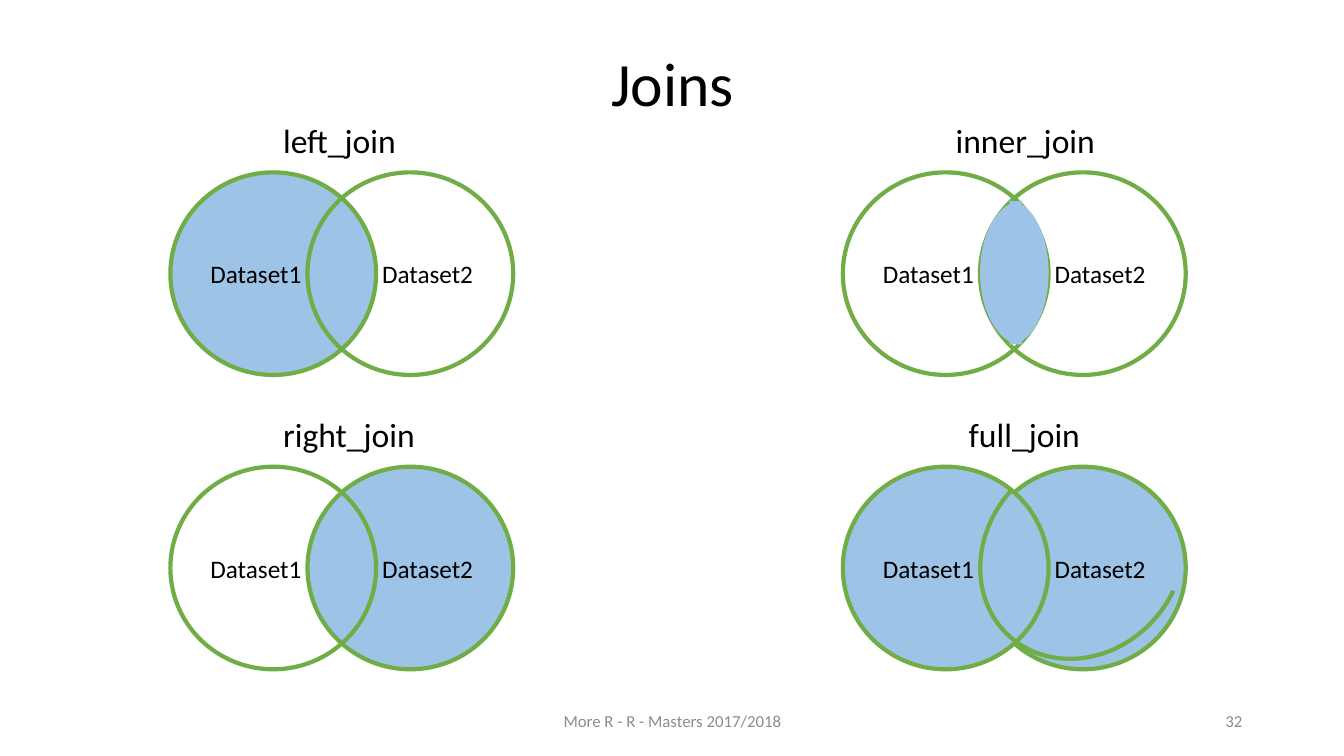
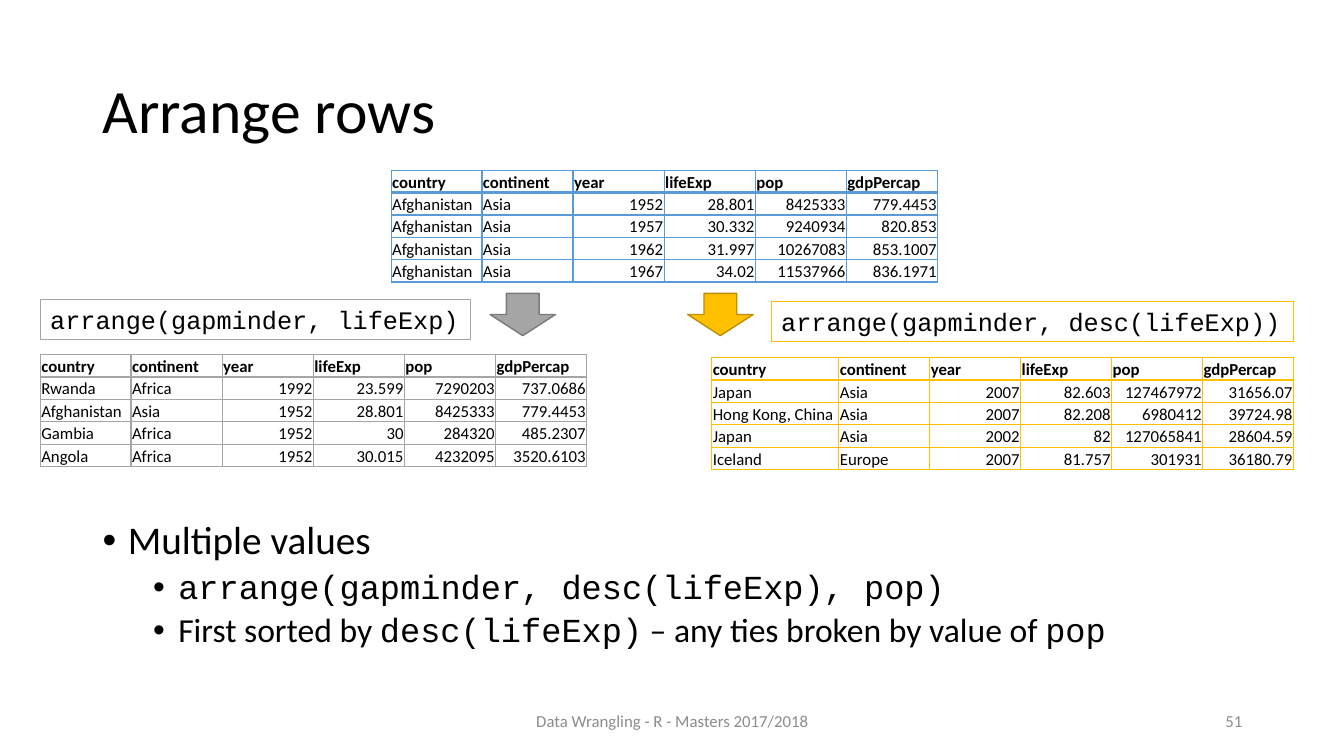
from lxml.etree import SubElement
from pptx import Presentation
from pptx.dml.color import RGBColor
from pptx.enum.shapes import MSO_SHAPE
from pptx.enum.text import MSO_ANCHOR, PP_ALIGN
from pptx.oxml.ns import qn
from pptx.util import Emu, Pt

PX = 9144  # 100 px to the inch
HUES = {
    "ink": "000000", "white": "FFFFFF", "foot": "8C8C8C",
    "sky": "9DC3E6", "green": "70AD47", "blue": "5B9BD5",
    "grey": "A5A5A5", "slate": "7A7A7A", "gold": "FFC000", "bronze": "BD8E00",
}
SANS, MONO = "Calibri", "Courier New"
LEFT, MID, RIGHT = PP_ALIGN.LEFT, PP_ALIGN.CENTER, PP_ALIGN.RIGHT


def draw(slide, kind, box, fill=None, line=None, width=1):
    """Add a preset shape, or a text box when kind is None."""
    place = [Emu(v * PX) for v in box]
    if kind is None:
        return slide.shapes.add_textbox(*place)
    shape = slide.shapes.add_shape(kind, *place)
    shape.shadow.inherit = False
    if fill:
        shape.fill.solid()
        shape.fill.fore_color.rgb = RGBColor.from_string(HUES[fill])
    else:
        shape.fill.background()
    if line:
        shape.line.color.rgb = RGBColor.from_string(HUES[line])
        shape.line.width = Pt(width)
    else:
        shape.line.fill.background()
    return shape


def write(frame, words, size, align=LEFT, anchor=MSO_ANCHOR.TOP,
          font=SANS, hue="ink", bold=False, wrap=True):
    """Set one line of text and format it."""
    frame.text = words
    frame.word_wrap = wrap
    frame.vertical_anchor = anchor
    para = frame.paragraphs[0]
    para.alignment = align
    for run in para.runs:
        run.font.name, run.font.size, run.font.bold = font, Pt(size), bold
        run.font.color.rgb = RGBColor.from_string(HUES[hue])
    return para


deck = Presentation()
deck.slide_width, deck.slide_height = Emu(1333 * PX), Emu(750 * PX)

# Titles and footers of both slides
pages = []
for title, top, align, foot, number in [
    ("Joins", 13, MID, "More R - R - Masters 2017/2018", "32"),
    ("Arrange rows", 40, LEFT, "Data Wrangling - R - Masters 2017/2018", "51"),
]:
    page = deck.slides.add_slide(deck.slide_layouts[6])
    pages.append(page)
    head = draw(page, None, (92, top, 1150, 145)).text_frame
    write(head, title, 44, align, MSO_ANCHOR.MIDDLE).line_spacing = 0.9
    for words, left, wide, side in [(foot, 442, 450, MID), (number, 942, 300, RIGHT)]:
        frame = draw(page, None, (left, 695, wide, 40)).text_frame
        write(frame, words, 12, side, MSO_ANCHOR.MIDDLE, hue="foot")
joins, rows = pages

# Venn diagrams: sets are listed from back to front
GAP = 136
for name, left, top, label, sets in [
    ("left_join", 169, 171, 271, [(1, "sky"), (2, None)]),
    ("right_join", 169, 463, 271, [(2, "sky"), (1, None)]),
    ("full_join", 836, 463, 951, [(2, "sky"), (1, "sky")]),
    ("inner_join", 836, 171, 938, [(1, "white"), (2, None)]),
]:
    for part, fill in sets:
        box = (left + GAP * (part - 1), top, 204, 201)
        ring = draw(joins, MSO_SHAPE.OVAL, box, fill, "green", 3)
        write(ring.text_frame, f"Dataset{part}", 18,
              LEFT if part == 1 else RIGHT, MSO_ANCHOR.MIDDLE)
    write(draw(joins, None, (label, top - 57, 203, 50)).text_frame, name, 24)

# Edge of the right set over the left one in full_join
arc = draw(joins, MSO_SHAPE.ARC, (978, 443, 191, 216), None, "green", 3)
arc.adjustments[0], arc.adjustments[1] = 95.52, 0
arc.rotation = 221.9

# Overlap of inner_join, from two facing moons
for left, wide, turn in [(972, 42, 0), (1001, 39, 180)]:
    moon = draw(joins, MSO_SHAPE.MOON, (left, 199, wide, 143), "sky")
    moon.adjustments[0] = 0.875
    moon.rotation = turn

# Bullets: level, size, space before, runs
body = draw(rows, None, (92, 512, 1150, 180)).text_frame
body.word_wrap = True
for i, (level, size, space, parts) in enumerate([
    (0, 28, 10, [("Multiple values", SANS)]),
    (1, 24, 5, [("arrange(gapminder, desc(lifeExp), pop)", MONO)]),
    (1, 24, 5, [("First sorted by ", SANS), ("desc(lifeExp)", MONO),
                (" – any ties broken by value of ", SANS), ("pop", MONO)]),
]):
    para = body.add_paragraph() if i else body.paragraphs[0]
    para.level, para.line_spacing, para.space_before = level, 0.9, Pt(space)
    props = para._p.get_or_add_pPr()
    props.set("marL", str((25 + 50 * level) * PX))
    props.set("indent", str(-25 * PX))
    SubElement(props, qn("a:buFont"), typeface="Arial")
    SubElement(props, qn("a:buChar"), char="•")
    for words, font in parts:
        run = para.add_run()
        run.text = words
        run.font.name, run.font.size = font, Pt(size)
        run.font.color.rgb = RGBColor.from_string(HUES["ink"])

# Arrows and the calls beside them
for left, fill, line in [(486, "grey", "slate"), (682, "gold", "bronze")]:
    draw(rows, MSO_SHAPE.DOWN_ARROW, (left, 291, 65, 42), fill, line)
for box, line, words in [
    ((40, 297, 427, 40), "grey", "arrange(gapminder, lifeExp)"),
    ((765, 299, 518, 40), "gold", "arrange(gapminder, desc(lifeExp))"),
]:
    call = draw(rows, MSO_SHAPE.RECTANGLE, box, "white", line)
    write(call.text_frame, words, 18, font=MONO, wrap=False)

# Tables: place, width of first column, hue, records
FIELDS = ("country", "continent", "year", "lifeExp", "pop", "gdpPercap")
for box, first, hue, data in [
    ((388, 169, 542, 111), 90, "blue", [
        ("Afghanistan", "Asia", "1952", "28.801", "8425333", "779.4453"),
        ("Afghanistan", "Asia", "1957", "30.332", "9240934", "820.853"),
        ("Afghanistan", "Asia", "1962", "31.997", "10267083", "853.1007"),
        ("Afghanistan", "Asia", "1967", "34.02", "11537966", "836.1971"),
    ]),
    ((40, 352, 542, 111), 90, "grey", [
        ("Rwanda", "Africa", "1992", "23.599", "7290203", "737.0686"),
        ("Afghanistan", "Asia", "1952", "28.801", "8425333", "779.4453"),
        ("Gambia", "Africa", "1952", "30", "284320", "485.2307"),
        ("Angola", "Africa", "1952", "30.015", "4232095", "3520.6103"),
    ]),
    ((706, 355, 577, 111), 126, "gold", [
        ("Japan", "Asia", "2007", "82.603", "127467972", "31656.07"),
        ("Hong Kong, China", "Asia", "2007", "82.208", "6980412", "39724.98"),
        ("Japan", "Asia", "2002", "82", "127065841", "28604.59"),
        ("Iceland", "Europe", "2007", "81.757", "301931", "36180.79"),
    ]),
]:
    lines = [FIELDS] + data
    place = [Emu(v * PX) for v in box]
    grid = rows.shapes.add_table(len(lines), len(FIELDS), *place).table
    grid.first_row = grid.horz_banding = False
    for c, col in enumerate(grid.columns):
        col.width = Emu((box[2] - first) * PX // 5 if c else first * PX)
    for r, line in enumerate(lines):
        grid.rows[r].height = Emu(box[3] * PX // len(lines))
        for c, words in enumerate(line):
            cell = grid.cell(r, c)
            cell.margin_left = cell.margin_right = cell.margin_top = Emu(PX)
            cell.margin_bottom = Emu(0)
            cell.vertical_anchor = MSO_ANCHOR.BOTTOM
            cell.fill.background()
            write(cell.text_frame, words, 12, RIGHT if r and c > 1 else LEFT,
                  MSO_ANCHOR.BOTTOM, bold=r == 0)
            props = cell._tc.get_or_add_tcPr()
            for n, side in enumerate("LRTB"):
                thick = 2 if (r, side) in [(0, "B"), (1, "T")] else 1
                edge = SubElement(props, qn(f"a:ln{side}"), w=str(Pt(thick)))
                paint = SubElement(edge, qn("a:solidFill"))
                SubElement(paint, qn("a:srgbClr"), val=HUES[hue])
                props.insert(n, edge)

deck.save("out.pptx")
